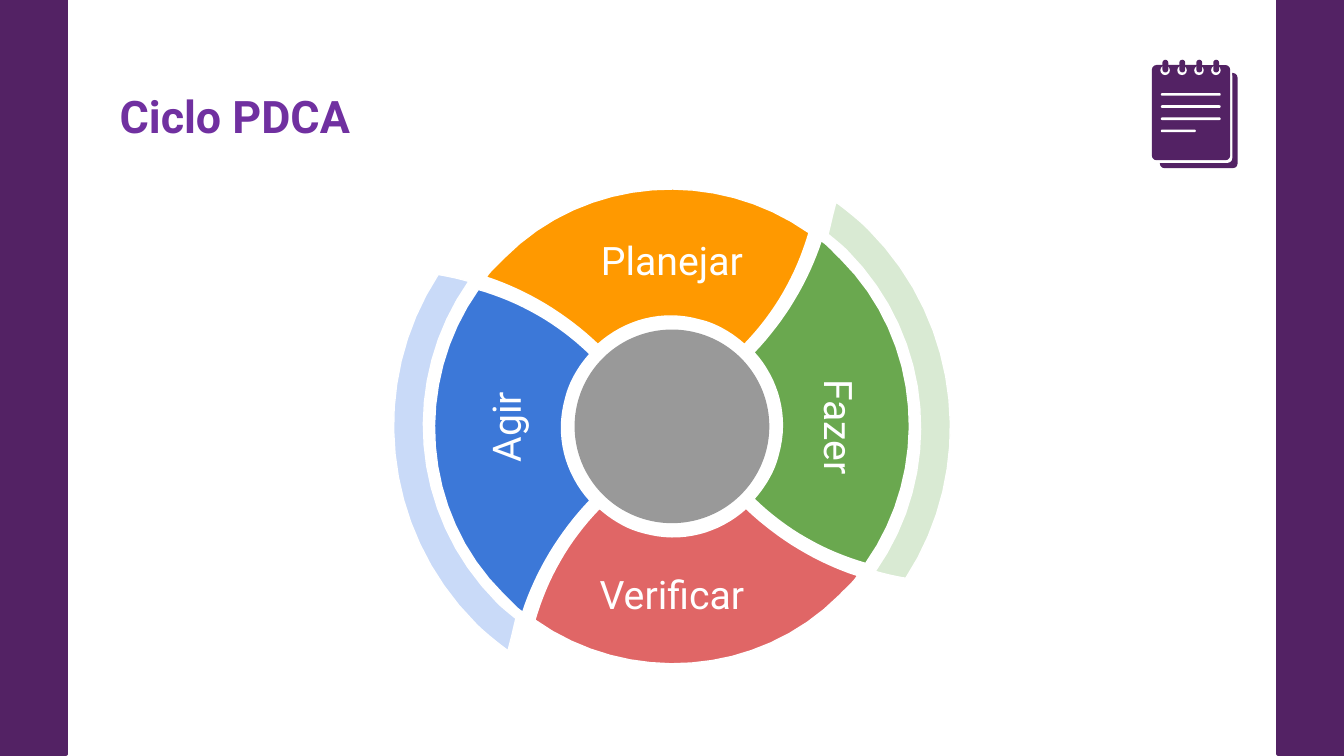
import math

from pptx import Presentation
from pptx.util import Cm, Pt
from pptx.dml.color import RGBColor
from pptx.enum import shapes, text

PURPLE = RGBColor(0x53, 0x22, 0x64)
TITLE = RGBColor(0x70, 0x30, 0xA0)
WHITE = RGBColor(0xFF, 0xFF, 0xFF)
GRAY = RGBColor(0x99, 0x99, 0x99)
ORANGE = RGBColor(0xFF, 0x99, 0x00)
GREEN = RGBColor(0x6A, 0xA8, 0x4F)
PALE_GREEN = RGBColor(0xD9, 0xEA, 0xD3)
RED = RGBColor(0xE0, 0x66, 0x66)
BLUE = RGBColor(0x3C, 0x78, 0xD8)
PALE_BLUE = RGBColor(0xC9, 0xDA, 0xF8)
RECT = shapes.MSO_SHAPE.RECTANGLE
ROUND = shapes.MSO_SHAPE.ROUNDED_RECTANGLE
OVAL = shapes.MSO_SHAPE.OVAL

# Outlines in cm from the cycle centre: start point, then Bezier points in threes
CX, CY = 12.7, 8.06
SEGMENT = [(-3.18, -3.18),
           (-3.3, -3.05), (-3.43, -2.95), (-3.51, -2.82),
           (-2.74, -2.57), (-2.01, -2.13), (-1.4, -1.55),
           (-0.89, -2.01), (-0.18, -2.21), (0.53, -2.01),
           (0.86, -1.93), (1.14, -1.75), (1.37, -1.55),
           (1.96, -2.16), (2.36, -2.87), (2.59, -3.66),
           (0.84, -4.9), (-1.63, -4.75), (-3.18, -3.18)]
OUTER_BAND = [(3.3, -3.33),
              (4.98, -1.65), (5.13, 0.91), (3.84, 2.74),
              (4.01, 2.79), (4.22, 2.84), (4.42, 2.87),
              (5.74, 0.84), (5.51, -1.93), (3.71, -3.73),
              (3.53, -3.91), (3.3, -4.09), (3.1, -4.24),
              (3.05, -4.06), (3.0, -3.84), (2.95, -3.63),
              (3.07, -3.53), (3.2, -3.43), (3.3, -3.33)]

prs = Presentation()
prs.slide_width, prs.slide_height = Cm(25.4), Cm(14.29)
s = prs.slides.add_slide(prs.slide_layouts[5])


def add_solid(kind, x, y, w, h, color, radius=None):
    sp = s.shapes.add_shape(kind, Cm(x), Cm(y), Cm(w), Cm(h))
    sp.shadow.inherit = False
    sp.fill.solid()
    sp.fill.fore_color.rgb = color
    sp.line.fill.background()
    if radius is not None:
        sp.adjustments[0] = radius
    return sp


def add_curve(outline, turns, color, steps=16):
    """Draw a Bezier outline turned by quarter turns, as a shape rotated by 315 degrees."""
    q = math.sqrt(0.5)
    pts = outline
    for _ in range(turns):
        pts = [(-y, x) for x, y in pts]
    pts = [(q * (x - y), q * (x + y)) for x, y in pts]
    line = []
    for i in range(0, len(pts) - 1, 3):
        a, b, c, d = pts[i:i + 4]
        for k in range(1, steps + 1):
            t = k / steps
            line.append(tuple(
                Cm((1 - t) ** 3 * a[j] + 3 * (1 - t) ** 2 * t * b[j]
                   + 3 * (1 - t) * t ** 2 * c[j] + t ** 3 * d[j]) for j in (0, 1)))
    fb = s.shapes.build_freeform(*line[-1])
    fb.add_line_segments(line, close=True)
    sp = fb.convert_to_shape()
    mx, my = sp.left + sp.width / 2, sp.top + sp.height / 2
    sp.left = int(Cm(CX) + q * (mx + my) - sp.width / 2)
    sp.top = int(Cm(CY) + q * (my - mx) - sp.height / 2)
    sp.rotation = 315
    sp.shadow.inherit = False
    sp.fill.solid()
    sp.fill.fore_color.rgb = color
    sp.line.color.rgb = WHITE
    sp.line.width = Pt(0.75)


# Side bars
for x in (24.16, 0):
    sp = add_solid(RECT, x, 0, 1.25, 14.25, PURPLE)
    sp.line.color.rgb = PURPLE
    sp.line.width = Pt(2)

# Notepad: back page, white gap, front page, binding rings, written lines
add_solid(ROUND, 21.92, 1.38, 1.47, 1.8, PURPLE, 0.06)
add_solid(ROUND, 21.77, 1.23, 1.52, 1.85, WHITE, 0.06)
add_solid(ROUND, 21.77, 1.23, 1.48, 1.8, PURPLE, 0.06)
for i in range(4):
    add_solid(OVAL, 21.93 + 0.32 * i, 1.24, 0.18, 0.18, WHITE)
    add_solid(ROUND, 21.97 + 0.32 * i, 1.13, 0.11, 0.24, PURPLE, 0.5)
for i, w in enumerate((1.13, 1.13, 1.13, 0.66)):
    add_solid(ROUND, 21.94, 1.76 + 0.23 * i, w, 0.05, WHITE, 0.5)

# Title
sp = s.shapes.title
sp.left, sp.top, sp.width, sp.height = Cm(2.01), Cm(1.43), Cm(13.89), Cm(1.65)
tf = sp.text_frame
tf.text = "Ciclo PDCA"
tf.auto_size = text.MSO_AUTO_SIZE.NONE
tf.vertical_anchor = text.MSO_ANCHOR.TOP
tf.margin_left = tf.margin_right = tf.margin_top = tf.margin_bottom = Cm(0.25)
p = tf.paragraphs[0]
p.alignment = text.PP_ALIGN.LEFT
r = p.runs[0]
r.font.name, r.font.size, r.font.bold = "Roboto", Pt(24), True
r.font.color.rgb = TITLE

# Cycle: hub, then label, quarter turns, colours, label centre and rotation
add_solid(OVAL, CX - 1.84, CY - 1.83, 3.68, 3.66, GRAY)
for label, turns, color, band, dx, dy, rotation in (
        ("Agir", 3, BLUE, PALE_BLUE, -3.15, 0.01, 270),
        ("Verificar", 2, RED, None, 0, 3.17, 0),
        ("Fazer", 1, GREEN, PALE_GREEN, 3.17, 0.01, 90),
        ("Planejar", 0, ORANGE, None, 0, -3.15, 0)):
    if band is not None:
        add_curve(OUTER_BAND, turns - 1, band)
    add_curve(SEGMENT, turns, color)
    sp = s.shapes.add_textbox(Cm(CX + dx - 2.08), Cm(CY + dy - 0.79), Cm(4.16), Cm(1.58))
    sp.rotation = rotation
    tf = sp.text_frame
    tf.word_wrap = True
    tf.vertical_anchor = text.MSO_ANCHOR.MIDDLE
    tf.margin_left = tf.margin_right = tf.margin_top = tf.margin_bottom = Cm(0.25)
    tf.text = label
    p = tf.paragraphs[0]
    p.alignment = text.PP_ALIGN.CENTER
    r = p.runs[0]
    r.font.name, r.font.size = "Roboto", Pt(21)
    r.font.color.rgb = WHITE

prs.save("out.pptx")
